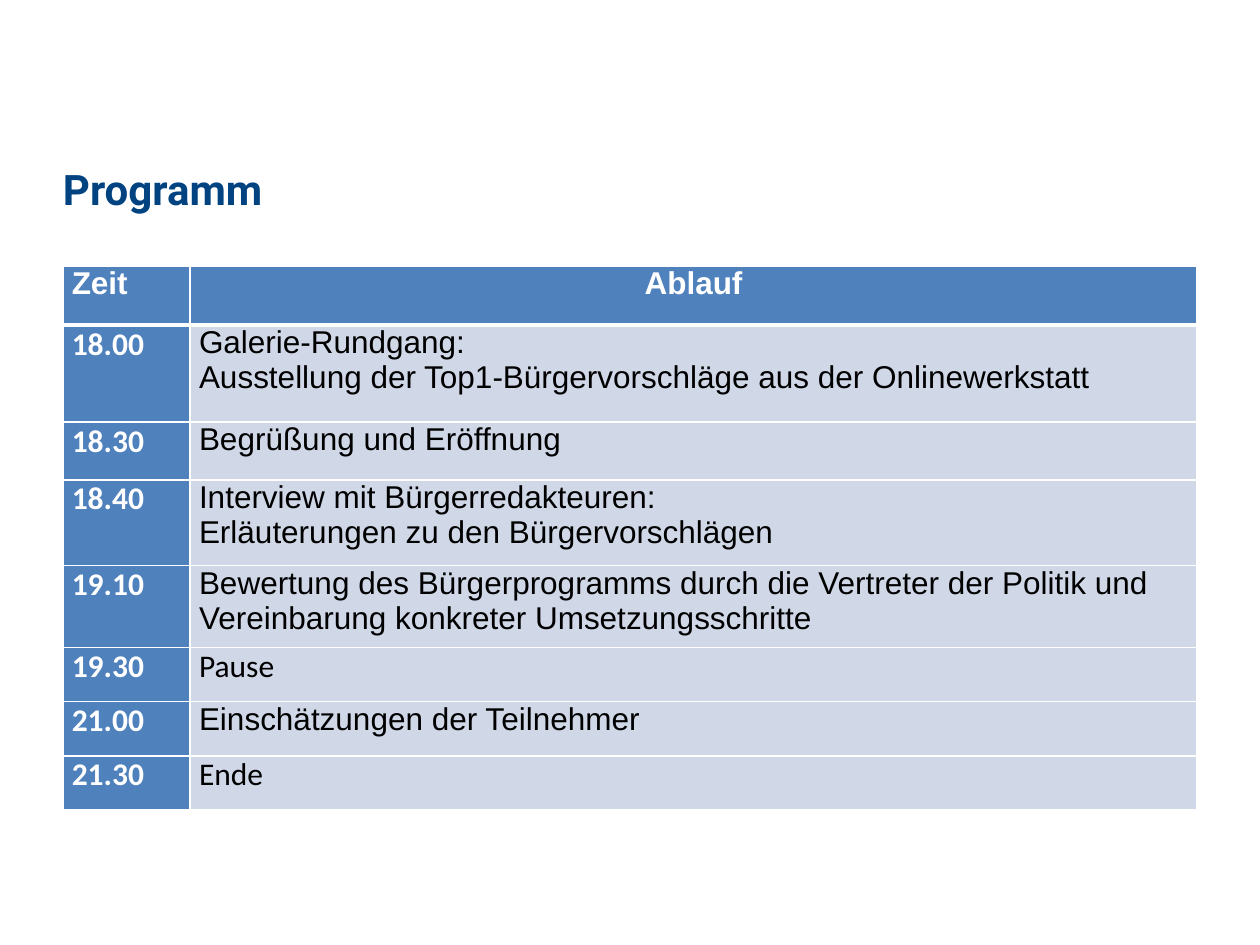
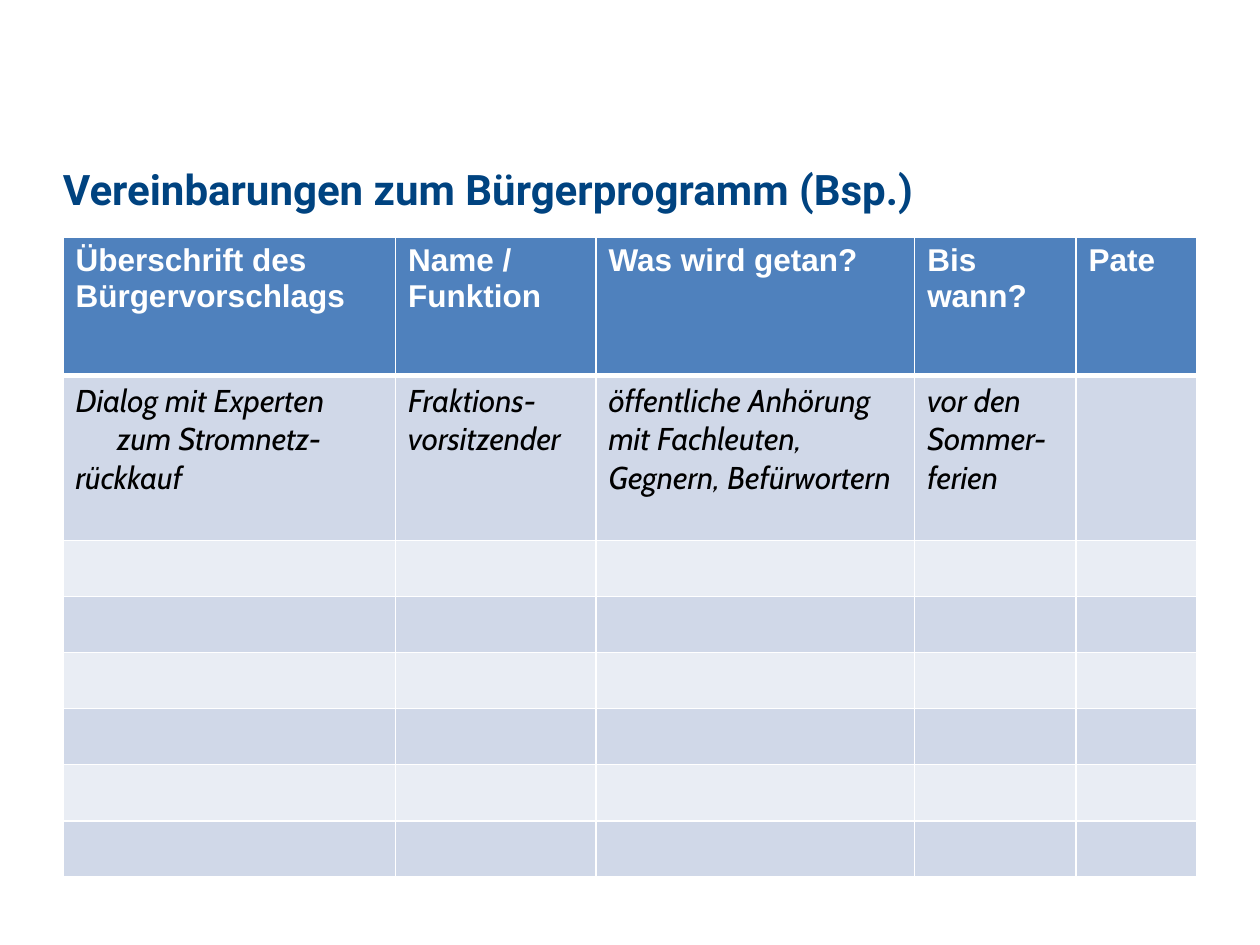
from dataclasses import dataclass

from pptx import Presentation
from pptx.dml.color import RGBColor
from pptx.enum.text import MSO_ANCHOR, PP_ALIGN
from pptx.oxml.ns import qn
from pptx.util import Inches, Pt
from lxml import etree

LEFT, CENTER = PP_ALIGN.LEFT, PP_ALIGN.CENTER
TOP = MSO_ANCHOR.TOP


@dataclass(frozen=True)
class Theme:
    navy: str = "004380"
    blue: str = "4F81BD"
    pale: str = "D0D8E8"
    paler: str = "E9EDF4"
    white: str = "FFFFFF"
    black: str = "000000"
    title_size: int = 24
    cell_size: int = 18
    thin: int = 1
    thick: int = 3


T = Theme()


@dataclass(frozen=True)
class TextStyle:
    font: str
    color: str
    size: int = T.cell_size
    bold: bool = False
    italic: bool = False


TITLE = TextStyle("Roboto", T.navy, T.title_size, bold=True)
HEADER = TextStyle("Arial", T.white, bold=True)
TIME = TextStyle("Calibri", T.white, bold=True)
ITEM = TextStyle("Arial", T.black)
BREAK = TextStyle("Calibri", T.black)
EXAMPLE = TextStyle("Cabin", T.black, italic=True)


@dataclass(frozen=True)
class Para:
    text: str
    indent: float = 0
    after: int = 0


@dataclass(frozen=True)
class Cell:
    paras: tuple[Para, ...]
    style: TextStyle
    fill: str
    align: PP_ALIGN = LEFT


@dataclass(frozen=True)
class Grid:
    top: float
    cols: tuple[float, ...]
    rows: tuple[float, ...]
    cells: list[list[Cell]]
    pad_x: float = 0.1
    pad_y: float = 0.05


def write(tf, paras: tuple[Para, ...], style: TextStyle, align: PP_ALIGN = LEFT) -> None:
    for i, para in enumerate(paras):
        p = tf.paragraphs[0] if i == 0 else tf.add_paragraph()
        p.alignment = align
        p.space_after = Pt(para.after)
        if para.indent:
            p._p.get_or_add_pPr().set("indent", str(Inches(para.indent)))
        for j, line in enumerate(para.text.split("\n")):
            if j:
                p.add_line_break()
            r = p.add_run()
            r.text = line
            r.font.name = style.font
            r.font.size = Pt(style.size)
            r.font.bold = style.bold
            r.font.italic = style.italic
            r.font.color.rgb = RGBColor.from_string(style.color)


def add_title(s, text: str) -> None:
    tf = s.shapes.add_textbox(Inches(0.5), Inches(1.3), Inches(9), Inches(0.4)).text_frame
    tf.word_wrap = True
    tf.vertical_anchor = TOP
    tf.margin_left = tf.margin_right = tf.margin_top = tf.margin_bottom = 0
    write(tf, (Para(text),), TITLE)


def set_borders(cell, top: int, bottom: int) -> None:
    tcPr = cell._tc.get_or_add_tcPr()
    widths = {"a:lnL": T.thin, "a:lnR": T.thin, "a:lnT": top, "a:lnB": bottom}
    for i, (tag, width) in enumerate(widths.items()):
        ln = etree.Element(qn(tag), w=str(Pt(width)))
        fill = etree.SubElement(ln, qn("a:solidFill"))
        etree.SubElement(fill, qn("a:srgbClr"), val=T.white)
        tcPr.insert(i, ln)


def add_grid(s, grid: Grid) -> None:
    table = s.shapes.add_table(
        len(grid.rows), len(grid.cols), Inches(0.5), Inches(grid.top),
        Inches(sum(grid.cols)), Inches(sum(grid.rows))).table
    for column, width in zip(table.columns, grid.cols):
        column.width = Inches(width)
    for row, height in zip(table.rows, grid.rows):
        row.height = Inches(height)
    for y, row in enumerate(grid.cells):
        for x, content in enumerate(row):
            cell = table.cell(y, x)
            cell.margin_left = cell.margin_right = Inches(grid.pad_x)
            cell.margin_top = cell.margin_bottom = Inches(grid.pad_y)
            cell.fill.solid()
            cell.fill.fore_color.rgb = RGBColor.from_string(content.fill)
            set_borders(cell, T.thick if y == 1 else T.thin, T.thick if y == 0 else T.thin)
            write(cell.text_frame, content.paras, content.style, content.align)


def spaced(text: str) -> tuple[Para, ...]:
    return (Para(text, after=6),)


def programme() -> Grid:
    items = [
        ("18.00", (Para("Galerie-Rundgang:"),
                   Para("Ausstellung der Top1-Bürgervorschläge aus der Onlinewerkstatt")), ITEM),
        ("18.30", spaced("Begrüßung und Eröffnung"), ITEM),
        ("18.40", spaced("Interview mit Bürgerredakteuren:\n"
                         "Erläuterungen zu den Bürgervorschlägen"), ITEM),
        ("19.10", spaced("Bewertung des Bürgerprogramms durch die Vertreter der Politik und "
                         "Vereinbarung konkreter Umsetzungsschritte"), ITEM),
        ("19.30", spaced("Pause"), BREAK),
        ("21.00", spaced("Einschätzungen der Teilnehmer"), ITEM),
        ("21.30", spaced("Ende"), BREAK),
    ]
    cells = [[Cell(spaced("Zeit"), HEADER, T.blue),
              Cell(spaced("Ablauf"), HEADER, T.blue, CENTER)]]
    cells += [[Cell(spaced(time), TIME, T.blue), Cell(paras, style, T.pale)]
              for time, paras, style in items]
    return Grid(2.11, (1.01, 7.99), (0.47, 0.77, 0.46, 0.68, 0.65, 0.43, 0.43, 0.43),
                cells, pad_x=0.07, pad_y=0)


def agreements() -> Grid:
    headings = ["Überschrift des Bürgervorschlags", "Name / Funktion",
                "Was wird getan?", "Bis wann?", "Pate"]
    example = [
        (Para("Dialog mit Experten"), Para("zum Stromnetz-rückkauf", indent=0.33)),
        (Para("Fraktions-vorsitzender"),),
        (Para("öffentliche Anhörung mit Fachleuten, Gegnern, Befürwortern"),),
        (Para("vor den Sommer-ferien"),),
        (),
    ]
    empty_rows = 6
    cells = [[Cell((Para(text),), HEADER, T.blue) for text in headings],
             [Cell(paras, EXAMPLE, T.pale) for paras in example]]
    cells += [[Cell((), EXAMPLE, T.pale if i % 2 else T.paler) for _ in headings]
              for i in range(empty_rows)]
    return Grid(1.88, (2.64, 1.59, 2.53, 1.28, 0.96),
                (1.1, 1.31) + (0.445,) * empty_rows, cells)


def main() -> None:
    prs = Presentation()
    prs.slide_width, prs.slide_height = Inches(10), Inches(7.5)
    slides = [("Programm", programme()),
              ("Vereinbarungen zum Bürgerprogramm (Bsp.)", agreements())]
    for title, grid in slides:
        s = prs.slides.add_slide(prs.slide_layouts[6])
        add_title(s, title)
        add_grid(s, grid)
    prs.save("out.pptx")


if __name__ == "__main__":
    main()
